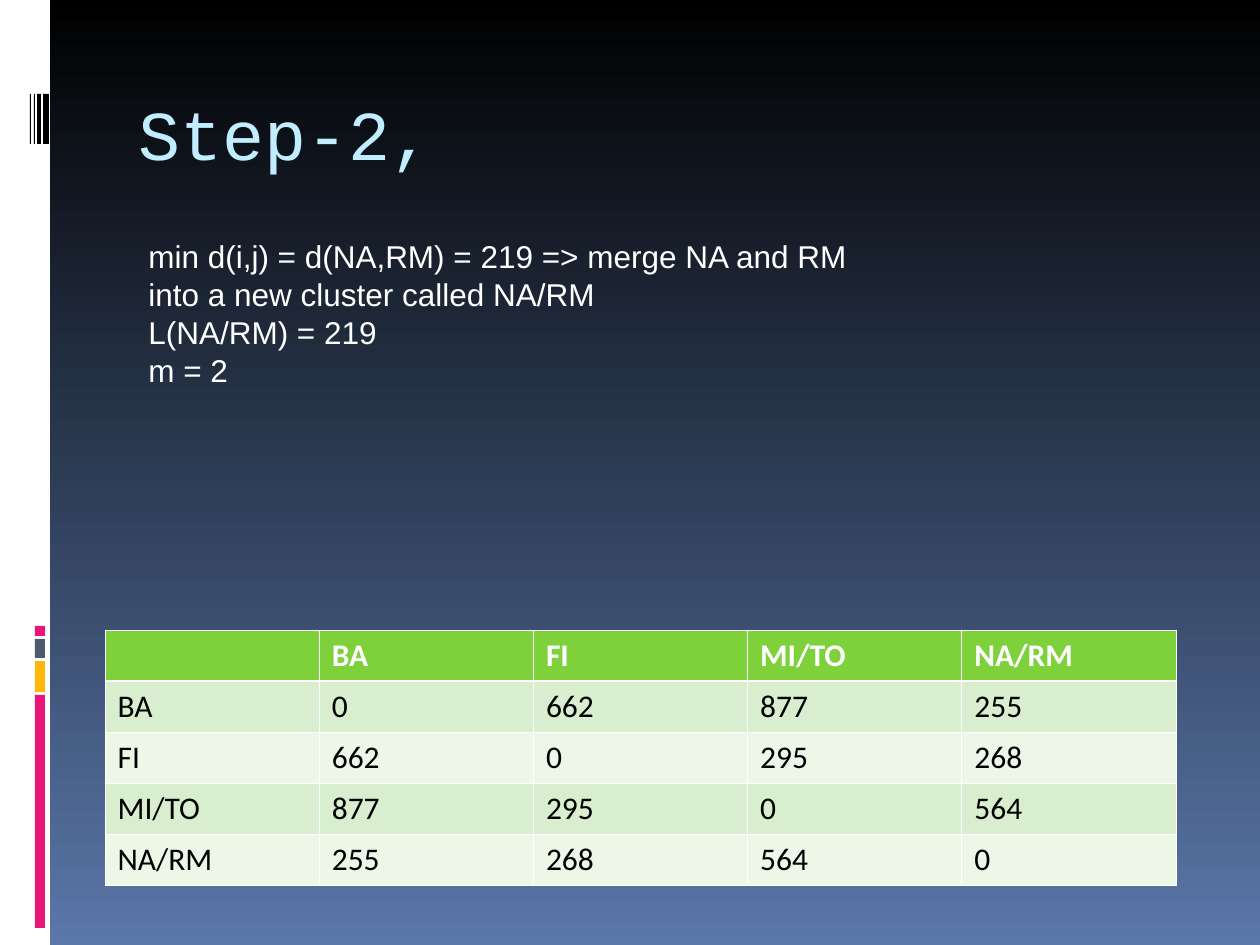
from lxml import etree
from pptx import Presentation
from pptx.dml.color import RGBColor
from pptx.enum.shapes import MSO_SHAPE
from pptx.enum.text import MSO_ANCHOR, PP_ALIGN
from pptx.oxml.ns import qn
from pptx.util import Emu, Pt

RECT = MSO_SHAPE.RECTANGLE
MIDDLE, TOP = MSO_ANCHOR.MIDDLE, MSO_ANCHOR.TOP
LEFT = PP_ALIGN.LEFT

WHITE = RGBColor(0xFF, 0xFF, 0xFF)
BLACK = RGBColor(0x00, 0x00, 0x00)
BLUE = RGBColor(0x5A, 0x77, 0xA9)
PINK = RGBColor(0xEA, 0x15, 0x7A)
AMBER = RGBColor(0xFE, 0xB8, 0x0A)
SLATE = RGBColor(0x4E, 0x5B, 0x6F)
SKY = RGBColor(0xC1, 0xEE, 0xFF)
GREEN = RGBColor(0x7F, 0xD1, 0x3B)
BANDS = (RGBColor(0xD8, 0xEE, 0xCE), RGBColor(0xEC, 0xF7, 0xE8))

TITLE_FONT = {"name": "Courier New", "size": Pt(40), "bold": False}
BODY_FONT = {"name": "Arial", "size": Pt(18)}
CELL_FONT = {"name": "Calibri", "size": Pt(18)}

THIN, THICK = Pt(0.45), Pt(1.47)

NOTES = [
    "min d(i,j) = d(NA,RM) = 219 => merge NA and RM into a new cluster called NA/RM",
    "L(NA/RM) = 219",
    "m = 2",
]
CITIES = ["BA", "FI", "MI/TO", "NA/RM"]
DISTANCES = [
    [0, 662, 877, 255],
    [662, 0, 295, 268],
    [877, 295, 0, 564],
    [255, 268, 564, 0],
]


def px(n):
    return Emu(round(n * 914400 / 126))


def set_font(font, values, color):
    for name, value in values.items():
        setattr(font, name, value)
    font.color.rgb = color


def add_background(slide):
    fill = slide.background.fill
    fill.gradient()
    fill.gradient_angle = 270
    for stop, position, color in zip(fill.gradient_stops, (0, 1), (BLACK, BLUE)):
        stop.position = position
        stop.color.rgb = color


def add_bar(slide, x, y, w, h, color):
    sp = slide.shapes.add_shape(RECT, px(x), px(y), px(w), px(h))
    sp.shadow.inherit = False
    sp.fill.solid()
    sp.fill.fore_color.rgb = color
    sp.line.fill.background()


def add_sidebar(slide, x, y, w, h):
    add_bar(slide, x, y, w, h, WHITE)
    for dy, bar_h, color in ((695, 233, PINK), (661, 31, AMBER),
                             (639, 19, SLATE), (626, 10, PINK)):
        add_bar(slide, x + 35, y + dy, 10, bar_h, color)
    for dx, bar_w in ((43, 6), (37, 4), (34, 1), (30, 1)):
        add_bar(slide, x + dx, y + 94, bar_w, 50, BLACK)


def add_title(slide, x, y, w, h):
    sp = slide.shapes.title
    sp.left, sp.top, sp.width, sp.height = px(x), px(y), px(w), px(h)
    tf = sp.text_frame
    tf.vertical_anchor = MIDDLE
    p = tf.paragraphs[0]
    p.alignment = LEFT
    r = p.add_run()
    r.text = "Step-2,"
    set_font(r.font, TITLE_FONT, SKY)


def add_notes(slide, x, y, w, h):
    tf = slide.shapes.add_textbox(px(x), px(y), px(w), px(h)).text_frame
    tf.word_wrap = True
    tf.vertical_anchor = TOP
    p = tf.paragraphs[0]
    for i, line in enumerate(NOTES):
        if i:
            p.add_line_break()
        r = p.add_run()
        r.text = line
        set_font(r.font, BODY_FONT, WHITE)


def set_borders(cell, widths):
    tc_pr = cell._tc.get_or_add_tcPr()
    for side, width in widths.items():
        ln = etree.SubElement(tc_pr, qn(f"a:ln{side}"), w=str(int(width)))
        fill = etree.SubElement(ln, qn("a:solidFill"))
        etree.SubElement(fill, qn("a:srgbClr"), val=str(WHITE))


def add_distances(slide, x, y, w, h):
    rows = [[""] + CITIES]
    rows += [[city] + values for city, values in zip(CITIES, DISTANCES)]
    n = len(rows)
    table = slide.shapes.add_table(n, n, px(x), px(y), px(w), px(h)).table
    for i, row in enumerate(rows):
        header = i == 0
        table.rows[i].height = px(h // n)
        table.columns[i].width = px(w / n)
        for j, value in enumerate(row):
            cell = table.cell(i, j)
            set_borders(cell, {"L": THIN, "R": THIN,
                               "T": THICK if i == 1 else THIN,
                               "B": THICK if header else THIN})
            cell.fill.solid()
            cell.fill.fore_color.rgb = GREEN if header else BANDS[(i - 1) % 2]
            p = cell.text_frame.paragraphs[0]
            p.text = str(value)
            set_font(p.font, {**CELL_FONT, "bold": header}, WHITE if header else BLACK)
            for r in p.runs:
                set_font(r.font, {**CELL_FONT, "bold": header}, WHITE if header else BLACK)


def main():
    prs = Presentation()
    prs.slide_width, prs.slide_height = px(1260), px(945)
    slide = prs.slides.add_slide(prs.slide_layouts[5])
    add_background(slide)
    add_sidebar(slide, 0, 0, 50, 945)
    add_title(slide, 126, 70, 1071, 126)
    add_distances(slide, 105, 630, 1071, 255)
    add_notes(slide, 136, 231, 756, 202)
    prs.save("out.pptx")


if __name__ == "__main__":
    main()
